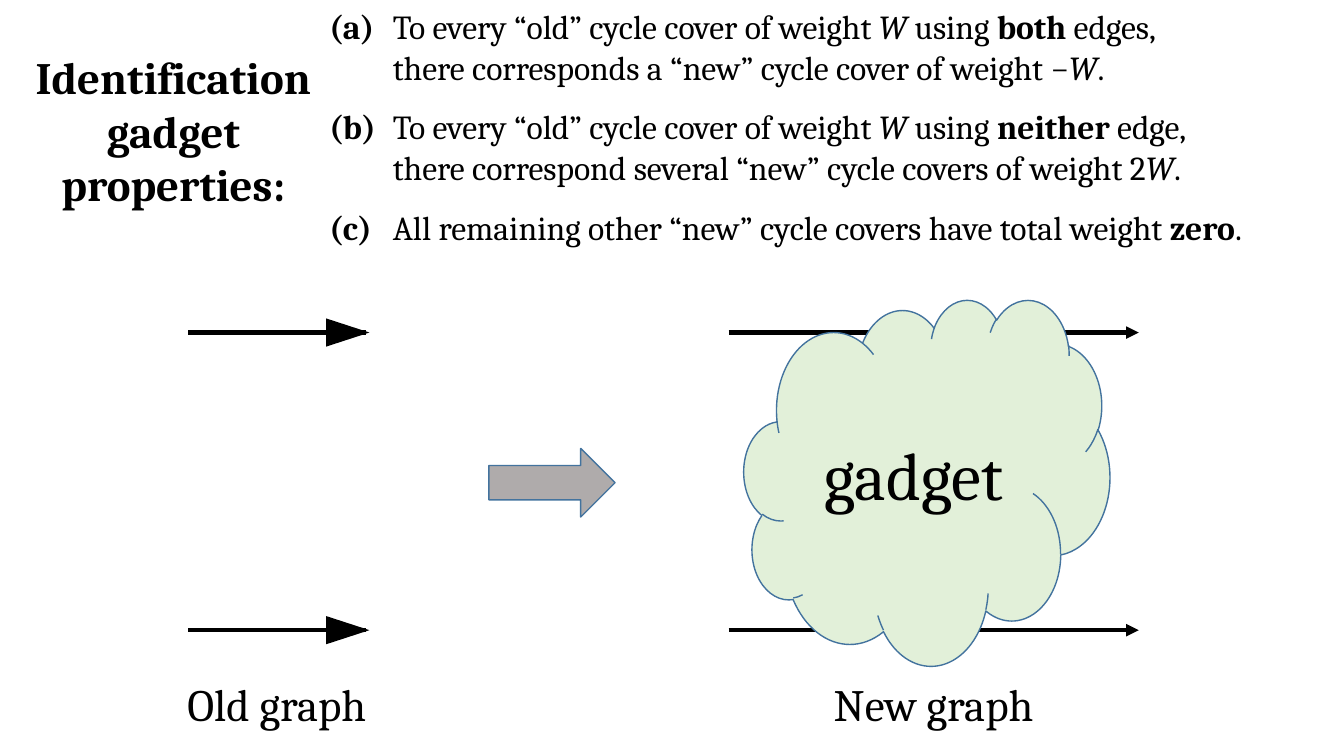
from lxml import etree
from pptx import Presentation
from pptx.dml.color import RGBColor
from pptx.enum.shapes import MSO_CONNECTOR, MSO_SHAPE
from pptx.enum.text import MSO_ANCHOR, MSO_AUTO_SIZE, PP_ALIGN
from pptx.oxml.ns import qn
from pptx.util import Cm, Pt

STRAIGHT = MSO_CONNECTOR.STRAIGHT
TRIANGLE = MSO_SHAPE.ISOSCELES_TRIANGLE
RIGHT_ARROW = MSO_SHAPE.RIGHT_ARROW
CLOUD = MSO_SHAPE.CLOUD
TOP, MIDDLE = MSO_ANCHOR.TOP, MSO_ANCHOR.MIDDLE
NO_AUTOFIT = MSO_AUTO_SIZE.NONE
LEFT, CENTER = PP_ALIGN.LEFT, PP_ALIGN.CENTER

BLACK = RGBColor(0x00, 0x00, 0x00)
GRAY = RGBColor(0xAF, 0xAB, 0xAB)
GREEN = RGBColor(0xE2, 0xF0, 0xD9)
BLUE = RGBColor(0x43, 0x73, 0x9E)

PLAIN = {}
BOLD = {"bold": True}
ITALIC = {"italic": True}
BREAK = ("\n", PLAIN)

EDGE_HEIGHTS = (8.38, 15.88)
EDGE_LENGTH = 4.47
OLD_EDGE_LEFT = 4.75
NEW_EDGE_LEFTS = (18.36, 24.23)
HEAD_WIDTH, HEAD_LENGTH = 0.71, 1.09

TITLE = [("Identification", BOLD), BREAK, ("gadget properties:", BOLD)]
PROPERTIES = [
    [("(a)\t", BOLD), ("To every “old” cycle cover of weight ", PLAIN), ("W", ITALIC),
     (" using ", PLAIN), ("both", BOLD), (" edges,", PLAIN), BREAK,
     ("there corresponds a “new” cycle cover of weight −", PLAIN), ("W", ITALIC), (".", PLAIN)],
    [("(b)\t", BOLD), ("To every “old” cycle cover of weight ", PLAIN), ("W", ITALIC),
     (" using ", PLAIN), ("neither", BOLD), (" edge,", PLAIN), BREAK,
     ("there correspond several “new” cycle covers of weight 2", PLAIN), ("W", ITALIC), (".", PLAIN)],
    [("(c)\t", BOLD), ("All remaining other “new” cycle covers have total weight ", PLAIN),
     ("zero", BOLD), (".", PLAIN)],
]


def box(left, top, width, height):
    return Cm(left), Cm(top), Cm(width), Cm(height)


def set_attributes(target, values):
    for name, value in values.items():
        setattr(target, name, value)


def write_runs(paragraph, runs, size, alignment):
    paragraph.alignment = alignment
    for text, style in runs:
        if text == "\n":
            paragraph.add_line_break()
            continue
        run = paragraph.add_run()
        run.text = text
        font_format = {"name": "Cambria", "size": Pt(size), "bold": False, "italic": False}
        set_attributes(run.font, font_format | style)
        run.font.color.rgb = BLACK


def add_title(slide):
    title = slide.shapes.title
    set_attributes(title, dict(zip(("left", "top", "width", "height"), box(0.51, 1.12, 7.72, 4.37))))
    frame_format = {"word_wrap": True, "auto_size": NO_AUTOFIT, "vertical_anchor": TOP}
    set_attributes(title.text_frame, frame_format)
    write_runs(title.text_frame.paragraphs[0], TITLE, 32, CENTER)


def add_properties(slide):
    frame = slide.shapes.add_textbox(*box(8.05, 0.03, 25.5, 6.58)).text_frame
    frame.word_wrap = True
    for index, runs in enumerate(PROPERTIES):
        paragraph = frame.add_paragraph() if index else frame.paragraphs[0]
        if index:
            paragraph.space_before = Pt(14)
        properties = paragraph._p.get_or_add_pPr()
        properties.set("marL", str(Cm(1.6)))
        properties.set("indent", str(-Cm(1.6)))
        write_runs(paragraph, runs, 24, LEFT)


def add_label(slide, text, left, width):
    frame = slide.shapes.add_textbox(*box(left, 16.94, width, 1.63)).text_frame
    frame.word_wrap = False
    write_runs(frame.paragraphs[0], [(text, PLAIN)], 32, CENTER)


def add_edge(slide, left, height, arrowhead):
    edge = slide.shapes.add_connector(
        STRAIGHT, Cm(left), Cm(height), Cm(left + EDGE_LENGTH), Cm(height))
    edge.line.width = Pt(3)
    edge.line.color.rgb = BLACK
    if arrowhead:
        etree.SubElement(edge.line._get_or_add_ln(), qn("a:tailEnd"), type="triangle")
    etree.SubElement(edge._element.spPr, qn("a:effectLst"))


def add_filled_shape(slide, kind, place, fill, outline=None):
    shape = slide.shapes.add_shape(kind, *place)
    shape.shadow.inherit = False
    shape.fill.solid()
    shape.fill.fore_color.rgb = fill
    if outline is None:
        shape.line.fill.background()
    else:
        shape.line.color.rgb = outline
        shape.line.width = Pt(1)
    return shape


def add_old_edge(slide, height):
    add_edge(slide, OLD_EDGE_LEFT, height, arrowhead=False)
    place = box(8.41, height - HEAD_LENGTH / 2, HEAD_WIDTH, HEAD_LENGTH)
    add_filled_shape(slide, TRIANGLE, place, BLACK).rotation = 90


def add_gadget(slide):
    frame = add_filled_shape(slide, CLOUD, box(18.75, 7.54, 9.22, 9.22), GREEN, BLUE).text_frame
    frame.vertical_anchor = MIDDLE
    write_runs(frame.paragraphs[0], [("gadget", PLAIN)], 48, CENTER)


def main():
    presentation = Presentation()
    presentation.slide_width, presentation.slide_height = Cm(33.87), Cm(19.05)
    slide = presentation.slides.add_slide(presentation.slide_layouts[5])
    add_title(slide)
    add_properties(slide)
    for height in EDGE_HEIGHTS:
        add_old_edge(slide, height)
        for left in NEW_EDGE_LEFTS:
            add_edge(slide, left, height, arrowhead=True)
    add_filled_shape(slide, RIGHT_ARROW, box(12.32, 11.3, 3.18, 1.73), GRAY, BLUE)
    add_gadget(slide)
    add_label(slide, "Old graph", 4.34, 5.28)
    add_label(slide, "New graph", 20.62, 5.82)
    presentation.save("out.pptx")


if __name__ == "__main__":
    main()
